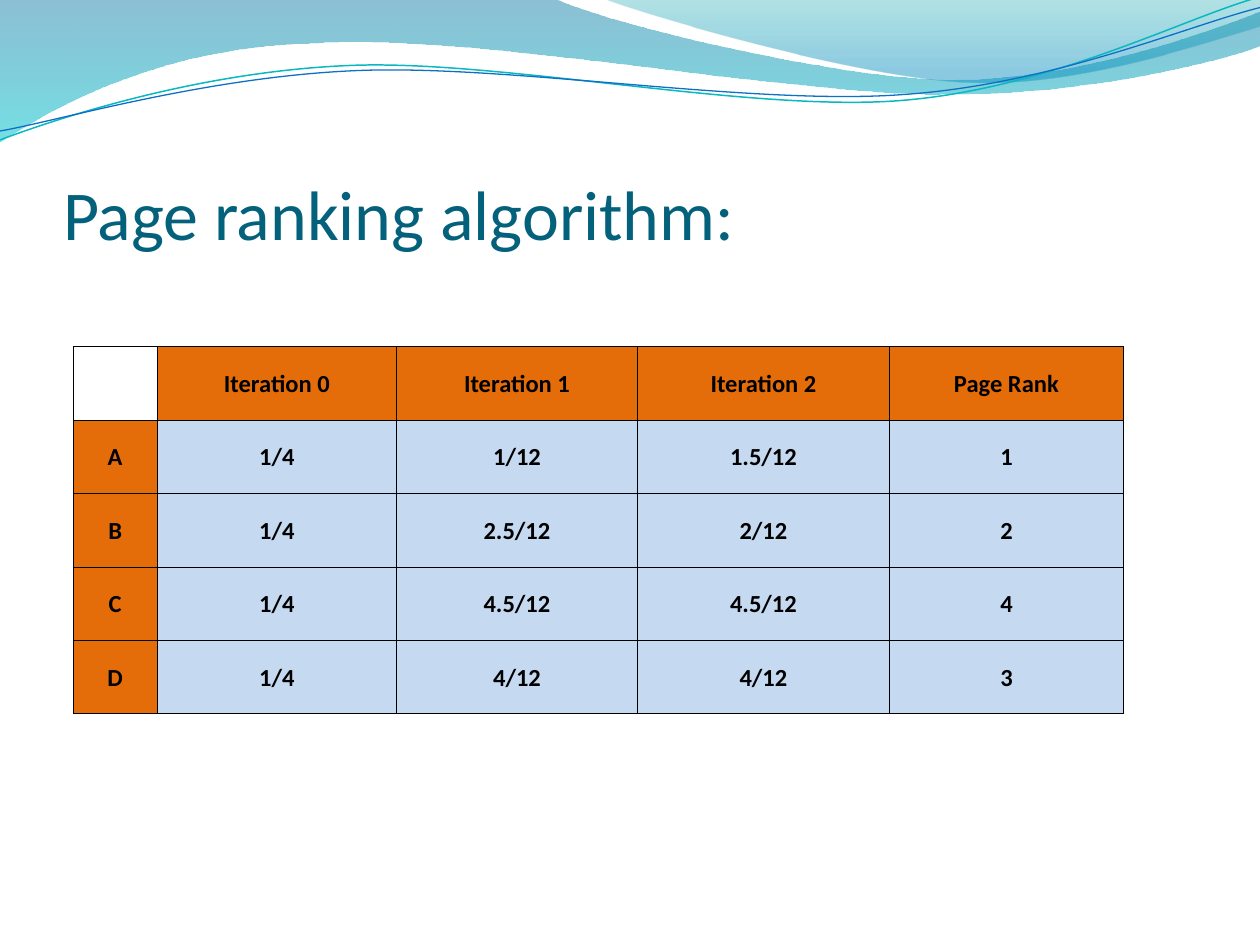
from lxml import etree
from pptx import Presentation
from pptx.dml.color import RGBColor
from pptx.enum.text import MSO_ANCHOR, PP_ALIGN
from pptx.oxml import parse_xml
from pptx.oxml.ns import nsdecls, qn
from pptx.util import Pt

MIDDLE, BOTTOM = MSO_ANCHOR.MIDDLE, MSO_ANCHOR.BOTTOM
LEFT, CENTER = PP_ALIGN.LEFT, PP_ALIGN.CENTER

THEME = {
    "font": "Calibri", "title_size": 40, "cell_size": 14,
    "title": "04617B", "text": "000000", "border": "000000",
    "header": "E46D0A", "body": "C5D9F1",
    "teal_line": "0AB8BF", "blue_line": "0F6FC6",
    "wide_wave": [(0, "0074A1", 45), (100, "00C6CF", 55)],
    "right_wave": [(0, "00A1A9", 30), (80, "008BBF", 45)],
}

TITLE = "Page ranking algorithm:"
RANKS = [
    ("", "Iteration 0", "Iteration 1", "Iteration 2", "Page Rank"),
    ("A", "1/4", "1/12", "1.5/12", "1"),
    ("B", "1/4", "2.5/12", "2/12", "2"),
    ("C", "1/4", "4.5/12", "4.5/12", "4"),
    ("D", "1/4", "4/12", "4/12", "3"),
]
TABLE_LEFT, TABLE_TOP, ROW_HEIGHT = 41.8, 198, 42
COLUMN_WIDTHS = (48, 136.8, 137.7, 144, 133.7)

LINE_ROTATION = 357.3
WAVES = [
    {"start": (0, 0), "steps": [
        [(317, -0.7)],
        [(343, 12.2), (478, 45.4), (546, 45.4)],
        [(614, 45.4), (690, 18.7), (720, 6.5)],
        [(720.7, 26)],
        [(708, 31.7), (626, 54.7), (537, 54)],
        [(448, 54), (275, 20.2), (185, 24.5)],
        [(93, 26), (33, 60), (-0.7, 81.4)],
        [(0, 0)]],
     "stops": "wide_wave"},
    {"start": (345, -0.7), "steps": [
        [(366.5, 8), (491, 44.6), (553.7, 46.8)],
        [(616.3, 49.7), (692, 23), (720, 15)],
        [(720, 0)],
        [(345, -0.7)]],
     "stops": "right_wave"},
    {"start": (-1.4, 63), "steps": [
        [(33.7, 51.7), (114.3, 29.4), (199.9, 29.9)],
        [(284.8, 30.3), (425.9, 67.2), (512.5, 64.8)],
        [(599.1, 62.3), (676.5, 25.7), (720.2, 15.6)]],
     "line": ("teal_line", 0.85)},
    {"start": (-1.1, 57.9), "steps": [
        [(32.9, 53.6), (118.2, 32.5), (204.1, 33)],
        [(290.3, 33.4), (428.9, 63.8), (515.3, 61.4)],
        [(601.5, 59.6), (678.4, 30), (721.4, 21.3)]],
     "line": ("blue_line", 0.75)},
]


def color(name):
    return RGBColor.from_string(THEME[name])


def gradient(stops):
    marks = "".join(
        f'<a:gs pos="{pos * 1000}"><a:srgbClr val="{rgb}">'
        f'<a:alpha val="{opacity * 1000}"/></a:srgbClr></a:gs>'
        for pos, rgb, opacity in stops)
    return parse_xml(f'<a:gradFill {nsdecls("a")}><a:gsLst>{marks}</a:gsLst>'
                     '<a:lin ang="5400000" scaled="0"/></a:gradFill>')


def bend(wave, steps):
    segments = iter(list(wave.element.iter(qn("a:lnTo"))))
    for step in steps:
        parts = [next(segments) for _ in step]
        if len(parts) == 3:
            parts[0].tag = qn("a:cubicBezTo")
            for part in parts[1:]:
                parts[0].append(part[0])
                part.getparent().remove(part)


def draw_wave(slide, start, steps, stops=None, line=None):
    points = [(Pt(x), Pt(y)) for x, y in [start, *sum(steps, [])]]
    builder = slide.shapes.build_freeform(*points[0])
    builder.add_line_segments(points[1:], close=bool(stops))
    wave = builder.convert_to_shape()
    bend(wave, steps)
    wave.shadow.inherit = False
    wave.fill.background()
    if stops:
        wave.line.fill.background()
        properties = wave.element.spPr
        properties.replace(properties.find(qn("a:noFill")), gradient(THEME[stops]))
    else:
        wave.rotation = LINE_ROTATION
        wave.line.color.rgb = color(line[0])
        wave.line.width = Pt(line[1])


def style_text(frame, size, ink, bold, align):
    paragraph = frame.paragraphs[0]
    paragraph.alignment = align
    font = paragraph.font
    font.name, font.size, font.bold = THEME["font"], Pt(THEME[size]), bold
    font.color.rgb = color(ink)


def add_borders(cell):
    properties = cell._tc.get_or_add_tcPr()
    for side in ("lnL", "lnR", "lnT", "lnB"):
        border = etree.SubElement(properties, qn(f"a:{side}"), w=str(Pt(0.5)))
        fill = etree.SubElement(border, qn("a:solidFill"))
        etree.SubElement(fill, qn("a:srgbClr"), val=THEME["border"])


def fill_cell(cell, value, is_header):
    cell.margin_left = cell.margin_right = cell.margin_top = Pt(0.7)
    cell.margin_bottom = 0
    cell.vertical_anchor = MIDDLE
    add_borders(cell)
    if not value:
        cell.fill.background()
        return
    cell.fill.solid()
    cell.fill.fore_color.rgb = color("header" if is_header else "body")
    cell.text = value
    style_text(cell.text_frame, "cell_size", "text", True, CENTER)


presentation = Presentation()
presentation.slide_width, presentation.slide_height = Pt(720), Pt(540)
slide = presentation.slides.add_slide(presentation.slide_layouts[5])

for wave in WAVES:
    draw_wave(slide, **wave)

title = slide.shapes.title
title.left, title.top, title.width, title.height = Pt(36), Pt(55.4), Pt(648), Pt(90)
heading = title.text_frame
heading.text = TITLE
heading.vertical_anchor = BOTTOM
heading.margin_left = heading.margin_right = heading.margin_bottom = 0
heading.margin_top = Pt(3.6)
style_text(heading, "title_size", "title", False, LEFT)

ranking = slide.shapes.add_table(
    len(RANKS), len(COLUMN_WIDTHS), Pt(TABLE_LEFT), Pt(TABLE_TOP),
    Pt(sum(COLUMN_WIDTHS)), Pt(ROW_HEIGHT * len(RANKS))).table
ranking.first_row = ranking.horz_banding = False
for column, width in zip(ranking.columns, COLUMN_WIDTHS):
    column.width = Pt(width)
for r, values in enumerate(RANKS):
    for c, value in enumerate(values):
        fill_cell(ranking.cell(r, c), value, r == 0 or c == 0)

presentation.save("out.pptx")
